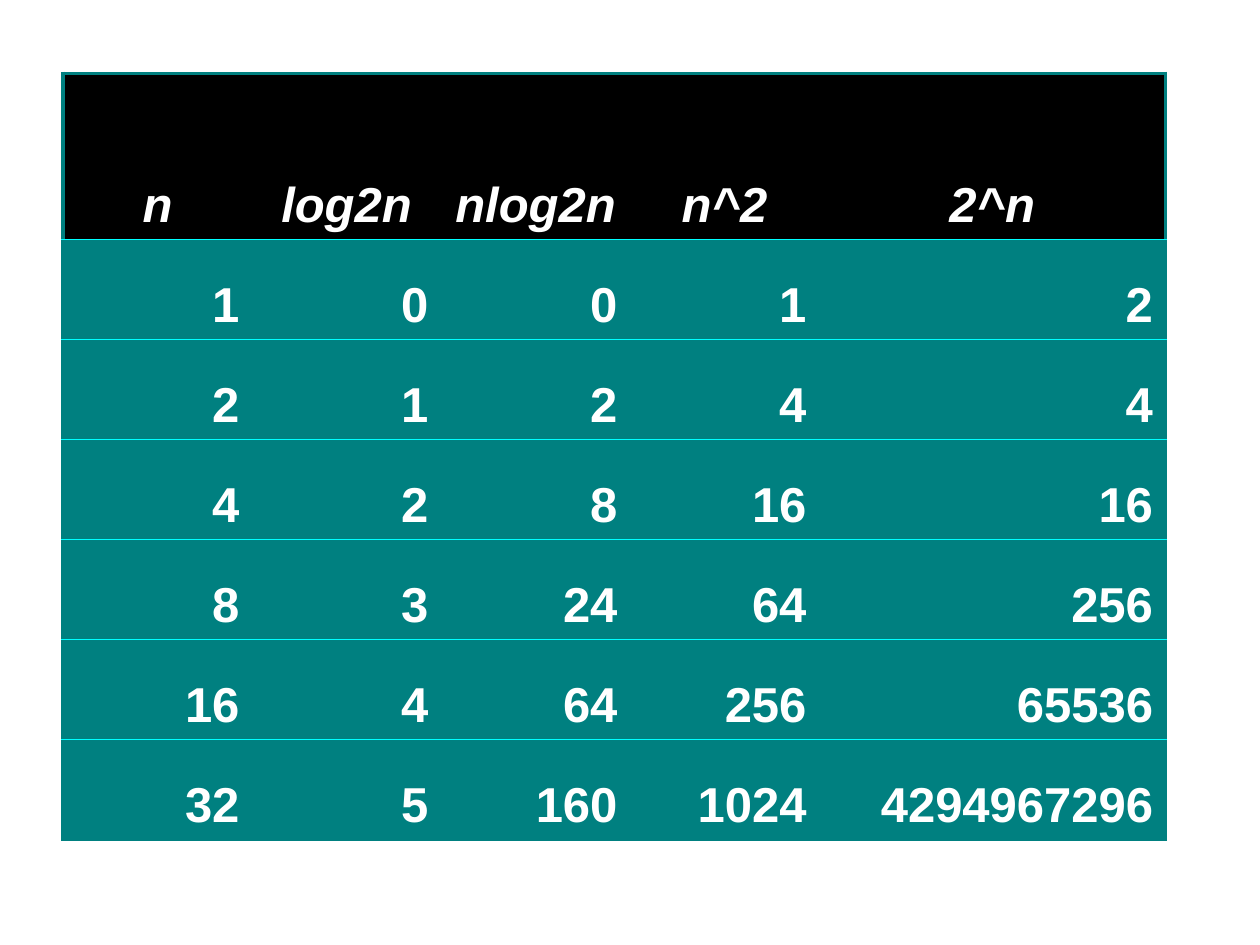
from lxml import etree
from pptx import Presentation
from pptx.dml.color import RGBColor
from pptx.enum import text
from pptx.oxml import ns
from pptx.util import Pt

hues = {"head": "000000", "body": "008080", "rule": "00FFFF", "font": "FFFFFF"}
rows = [
    ["n", "log2n", "nlog2n", "n^2", "2^n"],
    ["1", "0", "0", "1", "2"],
    ["2", "1", "2", "4", "4"],
    ["4", "2", "8", "16", "16"],
    ["8", "3", "24", "64", "256"],
    ["16", "4", "64", "256", "65536"],
    ["32", "5", "160", "1024", "4294967296"],
]
wides = [108, 108, 108, 108, 198]
highs = [95] + [57.15] * 6


def edge(cell, side, hue, width):
    line = etree.SubElement(cell._tc.get_or_add_tcPr(), ns.qn("a:ln" + side))
    if hue is None:
        line.set("w", "0")
        etree.SubElement(line, ns.qn("a:noFill"))
        return
    line.set("w", str(Pt(width)))
    fill = etree.SubElement(line, ns.qn("a:solidFill"))
    etree.SubElement(fill, ns.qn("a:srgbClr"), val=hues[hue])


deck = Presentation()
deck.slide_width, deck.slide_height = Pt(720), Pt(540)
slide = deck.slides.add_slide(deck.slide_layouts[6])
frame = slide.shapes.add_table(
    len(rows), len(wides), Pt(36), Pt(41.8), Pt(sum(wides)), Pt(sum(highs))
)
grid = frame.table
grid.horz_banding = False
for col, wide in zip(grid.columns, wides):
    col.width = Pt(wide)
for row, high in zip(grid.rows, highs):
    row.height = Pt(high)

last, end = len(rows) - 1, len(wides) - 1
for r, row in enumerate(rows):
    for c, word in enumerate(row):
        cell = grid.cell(r, c)
        head = r == 0
        outer = {"L": c == 0, "R": c == end, "T": head, "B": r == last}
        for side, out in outer.items():
            if out:
                edge(cell, side, "body", 2)
            else:
                edge(cell, side, "rule" if side in "TB" else None, 1)
        cell.fill.solid()
        cell.fill.fore_color.rgb = RGBColor.from_string(hues["head" if head else "body"])
        cell.vertical_anchor = text.MSO_ANCHOR.BOTTOM
        para = cell.text_frame.paragraphs[0]
        para.alignment = text.PP_ALIGN.CENTER if head else text.PP_ALIGN.RIGHT
        props = para._p.get_or_add_pPr()
        props.set("marL", str(Pt(27)))
        props.set("indent", str(Pt(-27)))
        run = para.add_run()
        run.text = word
        run.font.name = "Arial"
        run.font.size = Pt(28)
        run.font.bold = True
        run.font.italic = head
        run.font.color.rgb = RGBColor.from_string(hues["font"])

deck.save("out.pptx")
